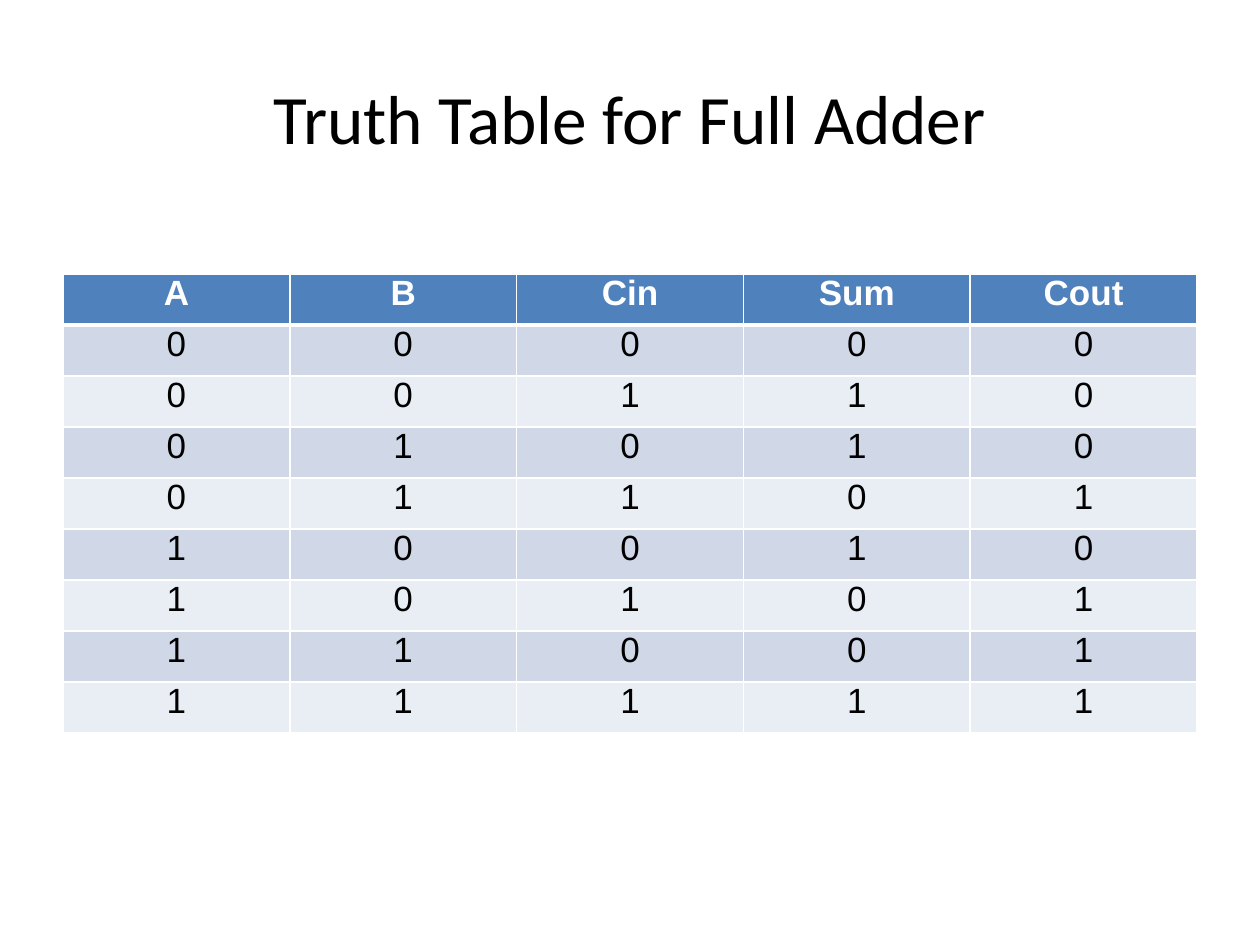
from dataclasses import dataclass
from itertools import product

from lxml import etree
from pptx import Presentation
from pptx.dml.color import RGBColor
from pptx.enum.text import MSO_ANCHOR, PP_ALIGN
from pptx.oxml.ns import qn
from pptx.util import Pt

CENTER = PP_ALIGN.CENTER
MIDDLE = MSO_ANCHOR.MIDDLE
TOP = MSO_ANCHOR.TOP
EMU_PER_PIXEL = 914400 / 126
HEADINGS = ("A", "B", "Cin", "Sum", "Cout")
BORDER_COLOR = "FFFFFF"


@dataclass(frozen=True)
class TextStyle:
    font: str
    size: float
    color: str
    bold: bool = False


@dataclass(frozen=True)
class RowStyle:
    text: TextStyle
    fill: str
    bottom_border: int = 1


TITLE = TextStyle("Calibri", 39.6, "000000")
HEADER = RowStyle(TextStyle("Arial", 20, "FFFFFF", True), "4F81BD", 3)
DIGIT = TextStyle("Arial", 20, "000000")
BANDS = (RowStyle(DIGIT, "D0D8E8"), RowStyle(DIGIT, "E9EDF4"))


def px(pixels: int) -> int:
    return round(pixels * EMU_PER_PIXEL)


def rgb(color: str) -> RGBColor:
    return RGBColor.from_string(color)


def write_text(text_frame, text: str, style: TextStyle) -> None:
    text_frame.text = text
    paragraph = text_frame.paragraphs[0]
    paragraph.alignment = CENTER
    font = paragraph.runs[0].font
    font.name = style.font
    font.size = Pt(style.size)
    font.bold = style.bold
    font.color.rgb = rgb(style.color)


def draw_border(cell, side: str, width: int) -> None:
    properties = cell._tc.get_or_add_tcPr()
    line = etree.SubElement(properties, qn(f"a:ln{side}"), w=str(Pt(width)))
    fill = etree.SubElement(line, qn("a:solidFill"))
    etree.SubElement(fill, qn("a:srgbClr"), val=BORDER_COLOR)


def fill_cell(cell, text: str, style: RowStyle) -> None:
    write_text(cell.text_frame, text, style.text)
    paragraph = cell.text_frame.paragraphs[0]
    paragraph.space_before = paragraph.space_after = Pt(3)
    cell.margin_left = cell.margin_right = px(9)
    cell.margin_top = cell.margin_bottom = 0
    cell.vertical_anchor = TOP
    for side in "LRT":
        draw_border(cell, side, 1)
    draw_border(cell, "B", style.bottom_border)
    cell.fill.solid()
    cell.fill.fore_color.rgb = rgb(style.fill)


def adder_rows() -> list[tuple[str, ...]]:
    rows = []
    for inputs in product((0, 1), repeat=3):
        carry, total = divmod(sum(inputs), 2)
        rows.append(tuple(str(bit) for bit in (*inputs, total, carry)))
    return rows


def add_title(slide, text: str) -> None:
    shape = slide.shapes.add_textbox(px(63), px(38), px(1134), px(157))
    shape.text_frame.word_wrap = True
    shape.text_frame.vertical_anchor = MIDDLE
    write_text(shape.text_frame, text, TITLE)


def add_truth_table(slide) -> None:
    rows = [HEADINGS, *adder_rows()]
    shape = slide.shapes.add_table(
        len(rows), len(HEADINGS), px(63), px(274), px(1134), px(51 * len(rows))
    )
    table = shape.table
    table.horz_banding = False
    for row_index, values in enumerate(rows):
        style = BANDS[(row_index - 1) % 2] if row_index else HEADER
        for column_index, value in enumerate(values):
            fill_cell(table.cell(row_index, column_index), value, style)


presentation = Presentation()
presentation.slide_width = px(1260)
presentation.slide_height = px(945)
slide = presentation.slides.add_slide(presentation.slide_layouts[6])
add_title(slide, "Truth Table for Full Adder")
add_truth_table(slide)
presentation.save("out.pptx")
